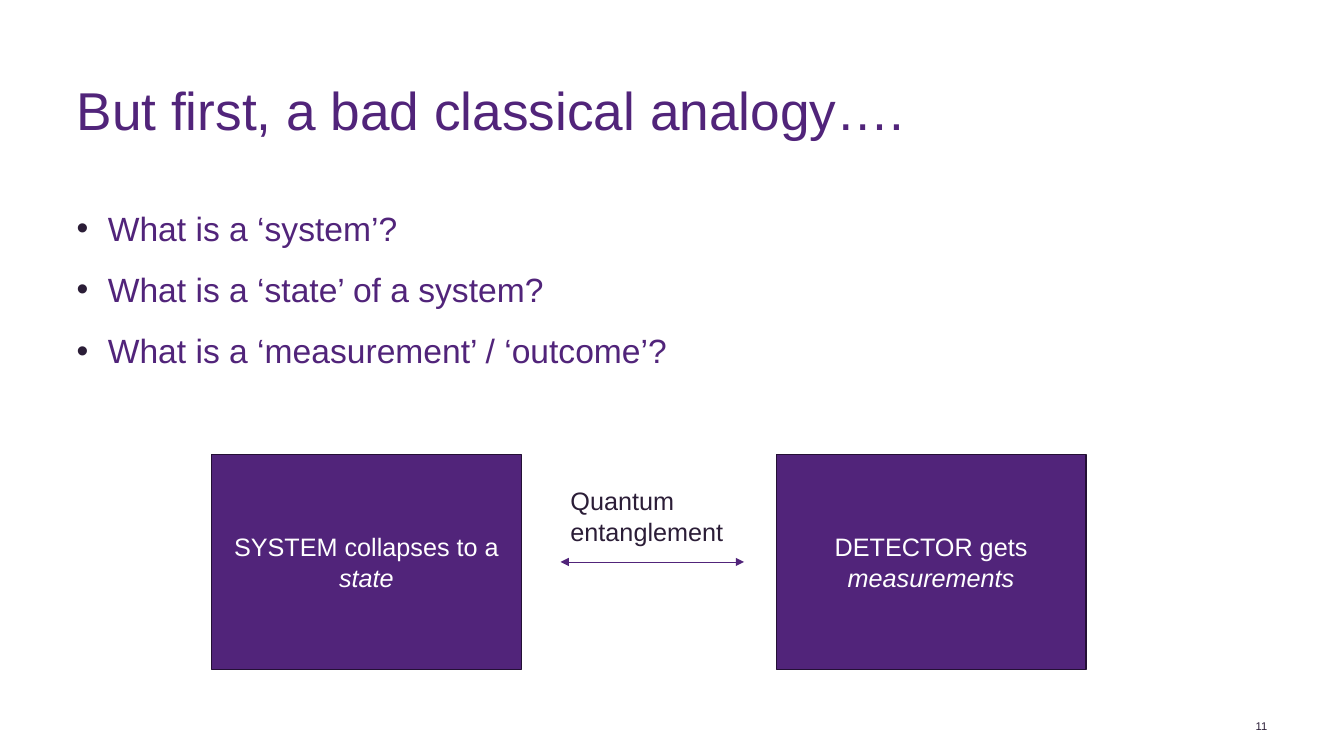
from pptx import Presentation
from pptx.dml.color import RGBColor
from pptx.enum import shapes, text
from pptx.oxml.ns import qn
from pptx.util import Inches, Pt
from lxml import etree

COLORS = {"purple": "51247A", "edge": "241035", "ink": "2B1D37", "white": "FFFFFF"}
FONT = "Arial"
TITLE = "But first, a bad classical analogy…."
QUESTIONS = [
    "What is a ‘system’?",
    "What is a ‘state’ of a system?",
    "What is a ‘measurement’ / ‘outcome’?",
]
BOXES = [("SYSTEM collapses to a ", "state"), ("DETECTOR gets ", "measurements")]
LINK_LABEL = ["Quantum", "entanglement"]
PAGE_NUMBER = "11"

BOX_LEFT, BOX_TOP, BOX_WIDTH, BOX_HEIGHT, BOX_STEP = 2.1, 4.51, 3.07, 2.13, 5.6
ARROW_START, ARROW_END = 5.56, 7.38
BULLET_INDENT = 0.31
LEFT, MIDDLE = text.PP_ALIGN.LEFT, text.MSO_ANCHOR.MIDDLE


def color(name):
    return RGBColor.from_string(COLORS[name])


def place(shape, left, top, width, height):
    for name, value in zip(("left", "top", "width", "height"), (left, top, width, height)):
        setattr(shape, name, Inches(value))


def set_frame(shape, inset=0, **formats):
    """Set equal insets and the given attributes on the text frame."""
    frame = shape.text_frame
    for side in ("left", "top", "right", "bottom"):
        setattr(frame, f"margin_{side}", Inches(inset))
    for name, value in formats.items():
        setattr(frame, name, value)
    return frame


def add_run(paragraph, words, size, color_name, italic=None):
    run = paragraph.add_run()
    run.text = words
    for name, value in {"name": FONT, "size": Pt(size), "italic": italic}.items():
        setattr(run.font, name, value)
    run.font.color.rgb = color(color_name)


def add_paragraph(frame, index, **formats):
    paragraph = frame.add_paragraph() if index else frame.paragraphs[0]
    for name, value in formats.items():
        setattr(paragraph, name, value)
    return paragraph


def add_bullet(paragraph):
    properties = paragraph._p.get_or_add_pPr()
    properties.set("marL", str(Inches(BULLET_INDENT)))
    properties.set("indent", str(-Inches(BULLET_INDENT)))
    bullet_color = etree.SubElement(properties, qn("a:buClr"))
    etree.SubElement(bullet_color, qn("a:srgbClr"), val=COLORS["ink"])
    etree.SubElement(properties, qn("a:buFont"), typeface=FONT)
    etree.SubElement(properties, qn("a:buChar"), char="•")


presentation = Presentation()
presentation.slide_width, presentation.slide_height = Inches(13.33), Inches(7.5)
slide = presentation.slides.add_slide(presentation.slide_layouts[1])

title, body = slide.placeholders
place(title, 0.76, 0.84, 10.47, 0.51)
frame = set_frame(title, vertical_anchor=text.MSO_ANCHOR.TOP,
                  auto_size=text.MSO_AUTO_SIZE.NONE)
paragraph = add_paragraph(frame, 0, alignment=LEFT, line_spacing=0.9)
add_run(paragraph, TITLE, 38, "purple")

place(body, 0.76, 2.06, 7.87, 4.61)
frame = set_frame(body, auto_size=text.MSO_AUTO_SIZE.NONE)
for index, question in enumerate(QUESTIONS):
    paragraph = add_paragraph(frame, index, alignment=LEFT,
                              space_before=Pt(3 if index else 0), space_after=Pt(12))
    add_bullet(paragraph)
    add_run(paragraph, question, 24, "purple")

for index, (words, emphasis) in enumerate(BOXES):
    box = slide.shapes.add_shape(
        shapes.MSO_SHAPE.RECTANGLE, Inches(BOX_LEFT + index * BOX_STEP),
        Inches(BOX_TOP), Inches(BOX_WIDTH), Inches(BOX_HEIGHT))
    box.shadow.inherit = False
    box.fill.solid()
    box.fill.fore_color.rgb = color("purple")
    box.line.color.rgb = color("edge")
    box.line.width = Pt(1)
    frame = set_frame(box, 0.1, word_wrap=True, vertical_anchor=MIDDLE)
    paragraph = add_paragraph(frame, 0, alignment=text.PP_ALIGN.CENTER)
    add_run(paragraph, words, 18, "white")
    add_run(paragraph, emphasis, 18, "white", italic=True)

arrow_y = Inches(BOX_TOP + BOX_HEIGHT / 2)
arrow = slide.shapes.add_connector(
    shapes.MSO_CONNECTOR.STRAIGHT, Inches(ARROW_START), arrow_y, Inches(ARROW_END), arrow_y)
arrow.line.color.rgb = color("purple")
arrow.line.width = Pt(0.5)
for end in ("a:headEnd", "a:tailEnd"):
    etree.SubElement(arrow.line._get_or_add_ln(), qn(end), type="triangle")
etree.SubElement(arrow._element.spPr, qn("a:effectLst"))

label = slide.shapes.add_textbox(Inches(ARROW_START), Inches(4.77), Inches(1.73), Inches(0.71))
frame = set_frame(label, 0.1, margin_top=Inches(0.05), margin_bottom=Inches(0.05),
                  word_wrap=False, auto_size=text.MSO_AUTO_SIZE.SHAPE_TO_FIT_TEXT)
for index, words in enumerate(LINK_LABEL):
    alignment = text.PP_ALIGN.CENTER if index else LEFT
    add_run(add_paragraph(frame, index, alignment=alignment), words, 18, "ink")

number = slide.shapes.add_textbox(Inches(12.26), Inches(7.14), Inches(0.31), Inches(0.12))
frame = set_frame(number, word_wrap=True, vertical_anchor=MIDDLE)
paragraph = add_paragraph(frame, 0, alignment=text.PP_ALIGN.RIGHT)
add_run(paragraph, PAGE_NUMBER, 8, "ink")

presentation.save("out.pptx")
